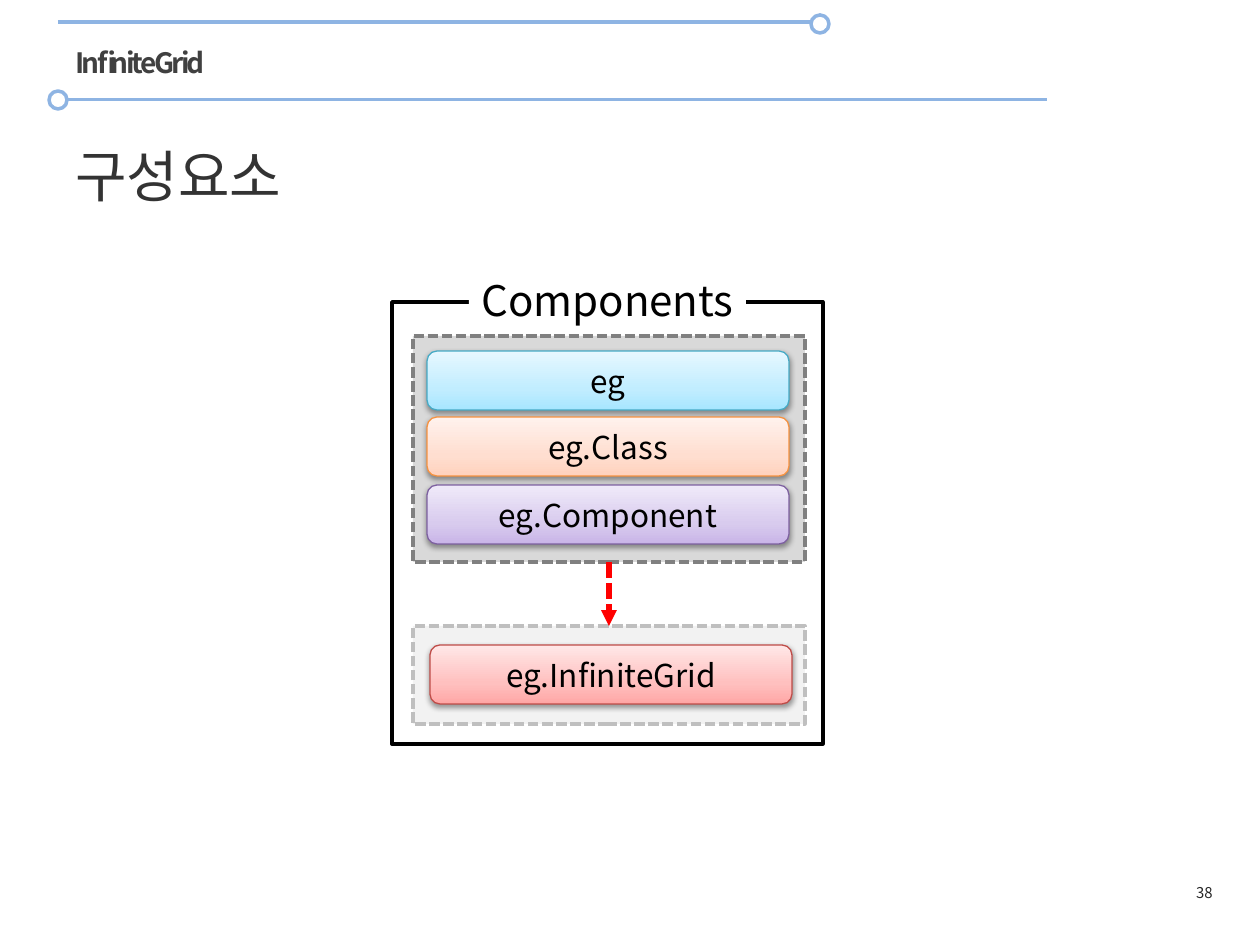
import pptx
import pptx.dml.color
import pptx.enum.dml
import pptx.enum.shapes
import pptx.enum.text
import pptx.oxml
import pptx.oxml.ns
import pptx.util

PX = 914400 // 126
FONT = "Noto Sans CJK KR"
NAMESPACE = pptx.oxml.ns.nsdecls("a")
SHAPE = pptx.enum.shapes.MSO_SHAPE
STRAIGHT = pptx.enum.shapes.MSO_CONNECTOR.STRAIGHT
ALIGN = pptx.enum.text.PP_ALIGN
ANCHOR = pptx.enum.text.MSO_ANCHOR
DASH = pptx.enum.dml.MSO_LINE.SQUARE_DOT


def color(value):
    return pptx.dml.color.RGBColor.from_string(value)


def write(shape, text, size, text_color, align, anchor):
    """Put one paragraph in the shape, format it and return its run."""
    text_frame = shape.text_frame
    text_frame.word_wrap = True
    text_frame.vertical_anchor = anchor
    text_frame.text = text
    paragraph = text_frame.paragraphs[0]
    paragraph.alignment = align
    run = paragraph.runs[0]
    run.font.size = pptx.util.Pt(size)
    run.font.name = FONT
    run.font.color.rgb = color(text_color)
    run.font._element.append(
        pptx.oxml.parse_xml(f'<a:ea {NAMESPACE} typeface="{FONT}"/>'))
    return run


presentation = pptx.Presentation()
presentation.slide_width = pptx.util.Inches(10)
presentation.slide_height = pptx.util.Inches(7.5)
slide = presentation.slides.add_slide(presentation.slide_layouts[6])
shapes = slide.shapes

# Header rules and their end rings
for left, right, y in [(64, 1047, 100), (58, 814, 22)]:
    rule = shapes.add_connector(STRAIGHT, left * PX, y * PX, right * PX, y * PX)
    rule.line.color.rgb = color("8EB4E3")
    rule.line.width = pptx.util.Pt(1.75)
    rule._element.spPr.append(pptx.oxml.parse_xml(f"<a:effectLst {NAMESPACE}/>"))

for left, top in [(811, 15), (49, 91)]:
    ring = shapes.add_shape(SHAPE.OVAL, left * PX, top * PX, 18 * PX, 18 * PX)
    ring.shadow.inherit = False
    ring.fill.solid()
    ring.fill.fore_color.rgb = color("FFFFFF")
    ring.line.color.rgb = color("8EB4E3")
    ring.line.width = pptx.util.Pt(2)

# Headings and page number
chapter = shapes.add_textbox(63 * PX, 33 * PX, 582 * PX, 49 * PX)
run = write(chapter, "InfiniteGrid", 16, "404040", ALIGN.LEFT, ANCHOR.TOP)
run.font.bold = True
run.font._element.set("spc", "-150")
chapter.text_frame.paragraphs[0].line_spacing = pptx.util.Pt(23)

title = shapes.add_textbox(63 * PX, 135 * PX, 1101 * PX, 81 * PX)
write(title, "구성요소", 32, "333333", ALIGN.LEFT, ANCHOR.TOP)

page_number = shapes.add_textbox(959 * PX, 876 * PX, 266 * PX, 34 * PX)
write(page_number, "38", 8.5, "262626", ALIGN.RIGHT, ANCHOR.MIDDLE)

# Outer frame and the two dashed groups
panels = []
for left, top, width, height, fill, line, dash in [
    (392, 302, 431, 442, None, "000000", None),
    (413, 626, 392, 98, "F2F2F2", "BFBFBF", DASH),
    (413, 336, 392, 226, "D9D9D9", "808080", DASH),
]:
    panel = shapes.add_shape(
        SHAPE.RECTANGLE, left * PX, top * PX, width * PX, height * PX)
    panel.shadow.inherit = False
    if fill:
        panel.fill.solid()
        panel.fill.fore_color.rgb = color(fill)
    else:
        panel.fill.background()
    panel.line.color.rgb = color(line)
    panel.line.width = pptx.util.Pt(2)
    panel.line.dash_style = dash
    panels.append(panel)
frame, grid_group, base_group = panels

# Component bars: gradient from bottom to top, soft shadow below
for left, top, text, line, stops in [
    (427, 351, "eg", "46AAC5", ("A7E6FF", "C1EDFF", "E7F8FF")),
    (427, 417, "eg.Class", "F69240", ("FFD2BD", "FFDED0", "FFF2ED")),
    (427, 485, "eg.Component", "7D60A0", ("C9B5E8", "D8CBEE", "F0EAF9")),
    (430, 645, "eg.InfiniteGrid", "BF4C48", ("FFA6A5", "FFC0BF", "FFE7E7")),
]:
    bar = shapes.add_shape(
        SHAPE.ROUNDED_RECTANGLE, left * PX, top * PX, 362 * PX, 59 * PX)
    stop_xml = "".join(
        f'<a:gs pos="{position}000"><a:srgbClr val="{stop}"/></a:gs>'
        for position, stop in zip((0, 35, 100), stops))
    bar._element.spPr.insert(2, pptx.oxml.parse_xml(
        f'<a:gradFill {NAMESPACE} rotWithShape="1"><a:gsLst>{stop_xml}</a:gsLst>'
        '<a:lin ang="16200000" scaled="0"/></a:gradFill>'))
    bar.line.color.rgb = color(line)
    bar.line.width = pptx.util.Pt(0.75)
    bar._element.spPr.append(pptx.oxml.parse_xml(
        f'<a:effectLst {NAMESPACE}>'
        '<a:outerShdw blurRad="40000" dist="20000" dir="5400000" rotWithShape="0">'
        '<a:srgbClr val="000000"><a:alpha val="38000"/></a:srgbClr>'
        '</a:outerShdw></a:effectLst>'))
    write(bar, text, 18, "000000", ALIGN.CENTER, ANCHOR.MIDDLE)

# Caption that interrupts the top edge of the frame
caption = shapes.add_shape(SHAPE.RECTANGLE, 469 * PX, 268 * PX, 277 * PX, 63 * PX)
caption.shadow.inherit = False
caption.fill.solid()
caption.fill.fore_color.rgb = color("FFFFFF")
caption.line.fill.background()
write(caption, "Components", 24, "000000", ALIGN.CENTER, ANCHOR.TOP)

# Arrow between the groups
arrow = shapes.add_connector(STRAIGHT, 609 * PX, 562 * PX, 609 * PX, 626 * PX)
arrow.begin_connect(base_group, 2)
arrow.end_connect(grid_group, 0)
arrow.line.color.rgb = color("FF0000")
arrow.line.width = pptx.util.Pt(3)
arrow.line.dash_style = DASH
arrow.line._get_or_add_ln().append(
    pptx.oxml.parse_xml(f'<a:tailEnd {NAMESPACE} type="triangle"/>'))
arrow._element.spPr.append(pptx.oxml.parse_xml(f"<a:effectLst {NAMESPACE}/>"))

presentation.save("out.pptx")
